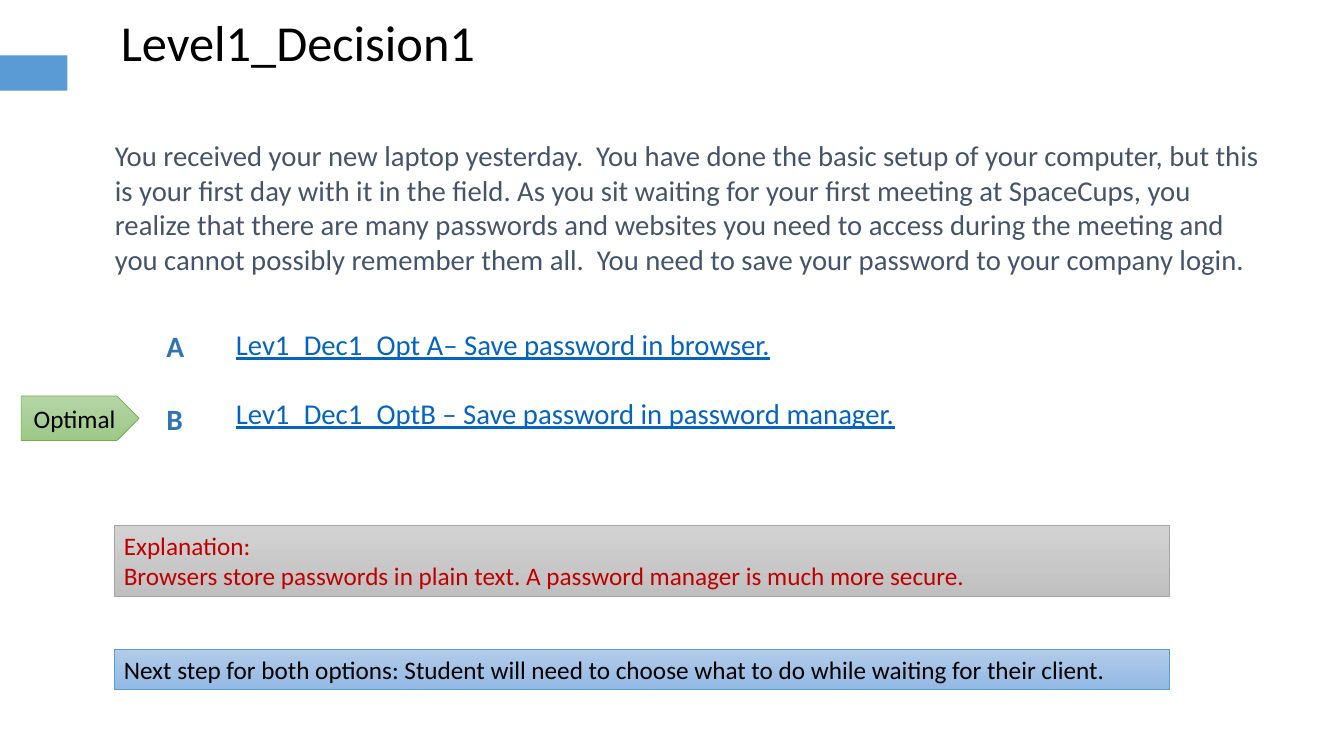
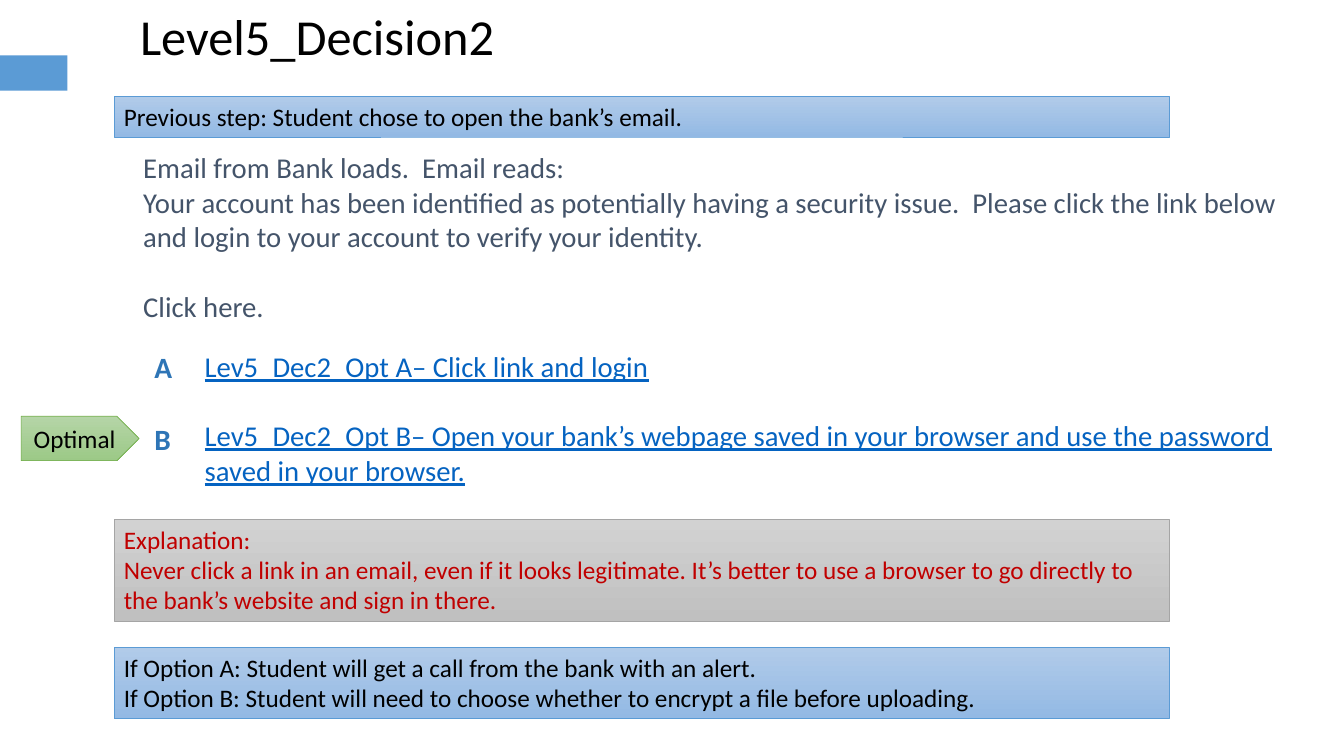
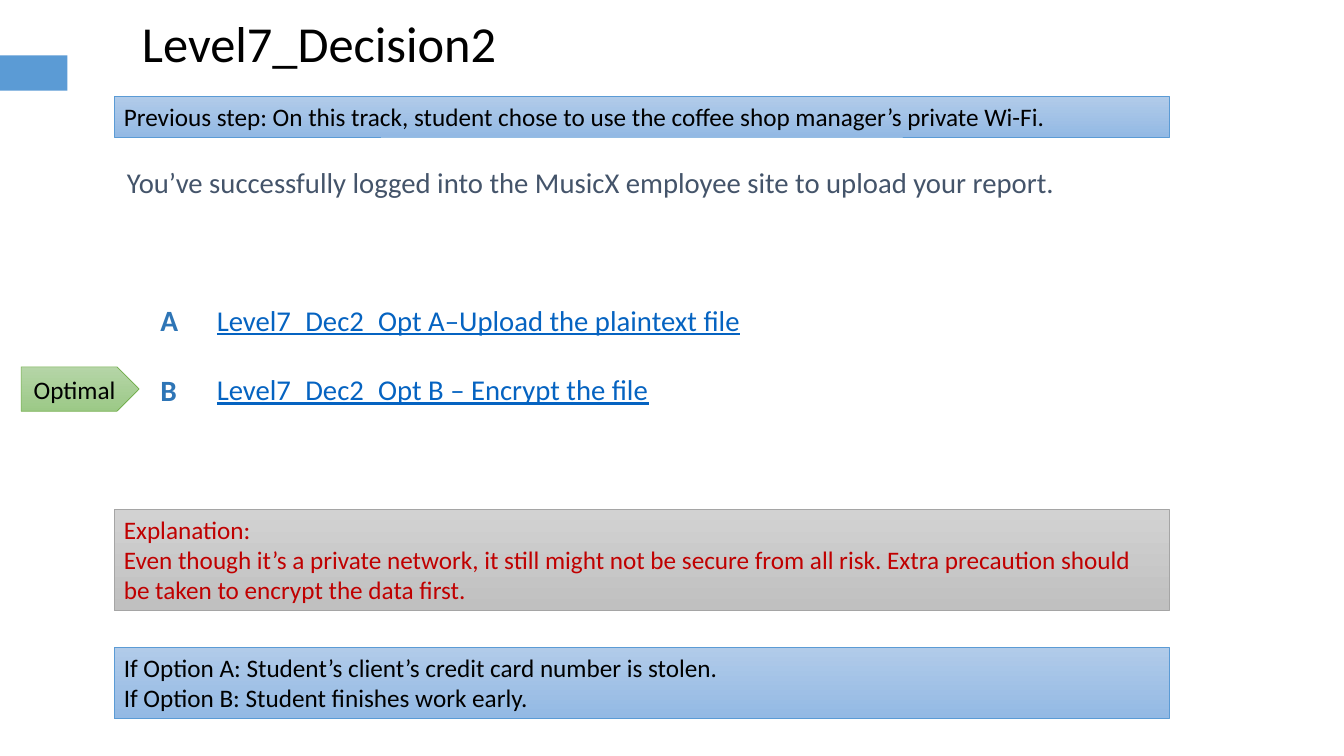
from pptx import Presentation
from pptx.dml.color import RGBColor
from pptx.enum.shapes import MSO_SHAPE
from pptx.enum.text import MSO_ANCHOR, PP_ALIGN
from pptx.util import Inches, Pt

BLACK = RGBColor(0x00, 0x00, 0x00)
SLATE = RGBColor(0x44, 0x54, 0x6A)
LINK = RGBColor(0x05, 0x63, 0xC1)
MARK = RGBColor(0x2E, 0x75, 0xB6)
RED = RGBColor(0xC0, 0x00, 0x00)
BLUE = RGBColor(0x5B, 0x9B, 0xD5)
GRAY = RGBColor(0xA5, 0xA5, 0xA5)
GREEN = RGBColor(0x70, 0xAD, 0x47)

BLUES = (RGBColor(0xB1, 0xCB, 0xE9), RGBColor(0x93, 0xB9, 0xE4), BLUE)
GRAYS = (RGBColor(0xD2, 0xD2, 0xD2), RGBColor(0xC0, 0xC0, 0xC0), GRAY)
GREENS = (RGBColor(0xB5, 0xD5, 0xA7), RGBColor(0x9C, 0xC9, 0x87), GREEN)

TITLE = (BLACK, {"size": Pt(36)})
BODY = (SLATE, {"size": Pt(20.5)})
CHOICE = (LINK, {"size": Pt(20.5), "underline": True})
LETTER = (MARK, {"size": Pt(21), "bold": True})
NOTE = (BLACK, {"size": Pt(18)})
WARN = (RED, {"size": Pt(18)})

TIGHT = (0.1, 0.05)
WIDE = (0.13, 0.07)
GAP = Pt(25)


def write(frame, lines, style, pad=TIGHT, align=PP_ALIGN.LEFT,
          anchor=MSO_ANCHOR.TOP, gap=None):
    side, edge = (Inches(size) for size in pad)
    look = {"word_wrap": True, "vertical_anchor": anchor,
            "margin_left": side, "margin_right": side,
            "margin_top": edge, "margin_bottom": edge}
    for name, value in look.items():
        setattr(frame, name, value)
    color, fonts = style
    for count, line in enumerate(lines):
        para = frame.add_paragraph() if count else frame.paragraphs[0]
        para.alignment = align
        if gap and count and count == len(lines) - 1:
            para.space_before = gap
        run = para.add_run()
        run.text = line
        run.font.color.rgb = color
        for name, value in {"name": "Calibri", **fonts}.items():
            setattr(run.font, name, value)


def label(slide, box, lines, style, pad=WIDE, gap=None):
    shape = slide.shapes.add_textbox(*map(Inches, box))
    write(shape.text_frame, lines, style, pad, gap=gap)


def panel(slide, box, hues, kind=MSO_SHAPE.RECTANGLE):
    shape = slide.shapes.add_shape(kind, *map(Inches, box))
    shape.shadow.inherit = False
    top, base, edge = hues
    shape.fill.gradient()
    shape.fill.gradient_angle = 270
    for stop, color in zip(shape.fill.gradient_stops, (top, base)):
        stop.color.rgb = color
    shape.line.color.rgb = edge
    shape.line.width = Pt(0.5)
    return shape.text_frame


def band(slide, top, high, lines, style, hues):
    write(panel(slide, (1.13, top, 10.47, high), hues), lines, style)


def accent(slide):
    bar = slide.shapes.add_shape(
        MSO_SHAPE.RECTANGLE, *map(Inches, (0, 0.55, 0.67, 0.35)))
    bar.shadow.inherit = False
    bar.fill.solid()
    bar.fill.fore_color.rgb = BLUE
    bar.line.fill.background()


def choices(slide, box, lines, left, tops):
    label(slide, box, lines, CHOICE, gap=GAP)
    for mark, top in zip("AB", tops):
        label(slide, (left, top, 0.68, 0.5), [mark], LETTER)
    tag = panel(slide, (0.21, tops[1] + 0.02, 1.17, 0.44), GREENS,
                MSO_SHAPE.PENTAGON)
    write(tag, ["Optimal"], NOTE, align=PP_ALIGN.CENTER,
          anchor=MSO_ANCHOR.MIDDLE)


def decide(deck, title, body, picks, why, after, before=None):
    slide = deck.slides.add_slide(deck.slide_layouts[6])
    accent(slide)
    box, text = title
    label(slide, box, [text], TITLE, TIGHT)
    box, lines = body
    label(slide, box, lines, BODY, gap=GAP)
    choices(slide, *picks)
    if before:
        band(slide, 0.96, 0.4, ["Previous step: " + before], NOTE, BLUES)
    top, high, text = why
    band(slide, top, high, ["Explanation:", text], WARN, GRAYS)
    top, high, lines = after
    band(slide, top, high, lines, NOTE, BLUES)


def main():
    deck = Presentation()
    deck.slide_width = Inches(13.33)
    deck.slide_height = Inches(7.5)
    decide(
        deck,
        title=((1.1, 0.06, 4.73, 0.71), "Level1_Decision1"),
        body=((1.01, 1.3, 11.74, 1.55), [
            "You received your new laptop yesterday.  You have done the basic "
            "setup of your computer, but this is your first day with it in "
            "the field. As you sit waiting for your first meeting at "
            "SpaceCups, you realize that there are many passwords and "
            "websites you need to access during the meeting and you cannot "
            "possibly remember them all.  You need to save your password to "
            "your company login."]),
        picks=((2.21, 3.17, 8.37, 1.39), [
            "Lev1_Dec1_Opt A– Save password in browser.",
            "Lev1_Dec1_OptB – Save password in password manager."],
            1.52, (3.19, 3.91)),
        why=(5.21, 0.71, "Browsers store passwords in plain text. A password "
             "manager is much more secure."),
        after=(6.44, 0.4, [
            "Next step for both options: Student will need to choose what to "
            "do while waiting for their client."]))
    decide(
        deck,
        title=((1.29, 0, 4.19, 1.01), "Level5_Decision2"),
        before="Student chose to open the bank’s email.",
        body=((1.29, 1.42, 11.93, 1.98), [
            "Email from Bank loads.  Email reads:",
            "Your account has been identified as potentially having a "
            "security issue.  Please click the link below and login to your "
            "account to verify your identity.",
            "Click here."]),
        picks=((1.9, 3.39, 11.36, 1.64), [
            "Lev5_Dec2_Opt A– Click link and login",
            "Lev5_Dec2_Opt B– Open your bank’s webpage saved in your browser "
            "and use the password saved in your browser."],
            1.4, (3.39, 4.11)),
        why=(5.15, 1.01, "Never click a link in an email, even if it looks "
             "legitimate. It’s better to use a browser to go directly to the "
             "bank’s website and sign in there."),
        after=(6.42, 0.71, [
            "If Option A: Student will get a call from the bank with an "
            "alert.",
            "If Option B: Student will need to choose whether to encrypt a "
            "file before uploading."]))
    decide(
        deck,
        title=((1.31, 0.07, 4.48, 0.71), "Level7_Decision2"),
        before="On this track, student chose to use the coffee shop "
               "manager’s private Wi-Fi.",
        body=((1.13, 1.57, 12.14, 0.5), [
            "You’ve successfully logged into the MusicX employee site to "
            "upload your report."]),
        picks=((2.02, 2.93, 8.82, 1.59), [
            "Level7_Dec2_Opt A–Upload the plaintext file",
            "Level7_Dec2_Opt B – Encrypt the file"],
            1.46, (2.93, 3.62)),
        why=(5.05, 1.01, "Even though it’s a private network, it still might "
             "not be secure from all risk. Extra precaution should be taken "
             "to encrypt the data first."),
        after=(6.42, 0.71, [
            "If Option A: Student’s client’s credit card number is stolen.",
            "If Option B: Student finishes work early."]))
    deck.save("out.pptx")


if __name__ == "__main__":
    main()
